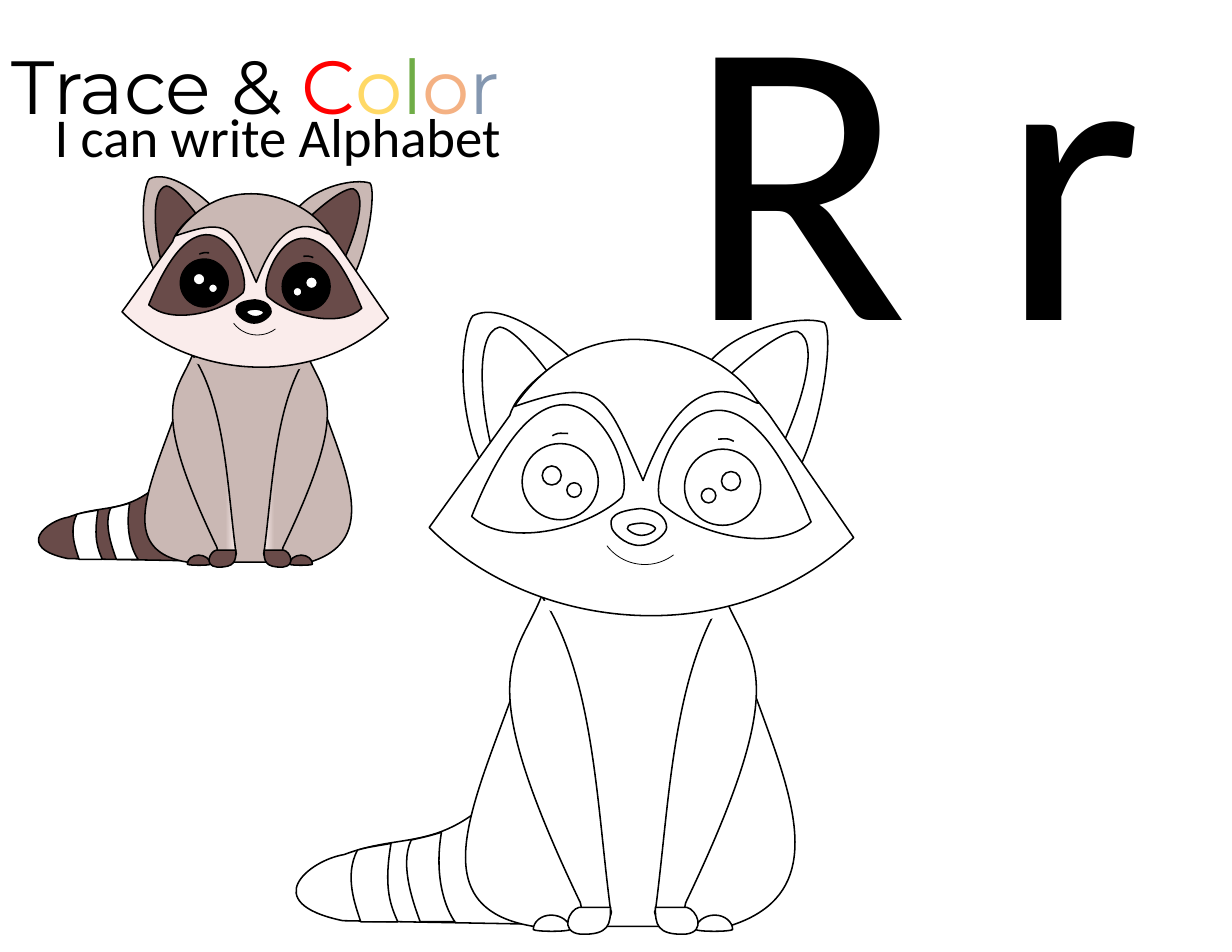
from dataclasses import dataclass
from typing import Any

from lxml import etree
from pptx import Presentation
from pptx.dml import color
from pptx.enum import shapes, text
from pptx.oxml import ns
from pptx.util import Cm, Pt

# Raccoon design in hundredths of an inch: a start point, then lines
# (one point) and curves (three points). The design fills 498 x 562 units.
ORIGIN = (264, 272)
DESIGN_WIDTH = 498
EARS = ["422 282 | 448 268 497 303 520 331 | 430 415 | 405 359 413 292 422 282",
        "736 288 | 716 281 659 291 631 326 | 714 417 | 735 373 744 299 736 288"]
INNER_EARS = ["446 292 | 460 293 488 329 501 350 | 438 396 | 431 369 422 297 446 292",
              "712 296 | 698 294 663 323 646 340 | 697 400 | 710 374 735 306 712 296"]
TAIL = "462 689 | 397 765 365 741 307 763 | 276 768 229 806 306 822 | 473 825 | 462 689"
STRIPES = ["394 743 | 385 746 376 748 367 750 | 356 773 370 809 375 823 | 406 823"
           " | 398 812 387 784 394 743",
           "349 753 | 339 755 329 756 319 759 | 307 782 317 808 322 823 | 355 823"
           " | 349 809 342 794 349 753"]
BODY = "652 457 | 490 451 | 506 609 325 802 476 827 | 650 827 | 805 780 603 570 652 457"
LEG = ("480 527 | 485 528 | 462 590 417 595 518 806 | 527 856 550 813 545 813"
       " | 532 714 530 599 480 527")
TOE = "509 830 | 509 823 501 817 492 817 | 483 817 476 823 476 830 | 479 832 506 832 509 830"
PAW = "545 810 | 517 810 | 508 812 499 832 518 834 | 544 835 545 825 545 810"
FACE = ("687 371 | 585 240 465 333 455 371 | 383 471 | 476 565 654 583 762 480"
        " | 687 371")
FOREHEAD = ("677 360 | 648 308 528 262 459 363 | 538 336 539 350 574 429"
            " | 619 308 671 362 677 360")
NOSE = ("595 471 | 595 466 592 456 572 454 | 539 457 546 468 546 471"
        " | 546 474 557 487 571 487 | 584 487 595 476 595 471")
SPOT = ("585 472 | 585 471 583 468 573 467 | 557 468 561 471 560 472"
        " | 560 473 566 478 573 478 | 579 478 585 474 585 472")
EYE_PATCH = "555 444 | 571 413 499 265 421 461 | 451 489 522 474 555 444"
BROW = "507 387 | 501 387 499 386 495 388 | 494 388 494 389 493 389"
EYE_CIRCLES = [("eye", 466, 396, 68), ("glint", 506, 431, 13), ("glint", 484, 416, 17)]
LEG_AXIS, EYE_AXIS, BROW_AXIS = 1130, 1145, 1148  # sum of left and mirrored x
EYE_DROP = 5

COLOURED = dict(fur="CAB8B4", dark="694B49", cream="FAECEB", eye="000000", glint="FFFFFF")
LINE_ART = dict.fromkeys(COLOURED, "FFFFFF")


def rgb(value):
    return color.RGBColor.from_string(value)


def bezier(start, controls, steps=16):
    """Points along a cubic curve, without its start."""
    corners = [start, *controls]
    for step in range(1, steps + 1):
        t = step / steps
        weights = ((1 - t) ** 3, 3 * t * (1 - t) ** 2, 3 * t * t * (1 - t), t ** 3)
        yield tuple(round(sum(w * c[i] for w, c in zip(weights, corners))) for i in (0, 1))


@dataclass
class Sketch:
    """Draws pieces of the design into a group, scaled to a box."""
    group: Any
    left: float
    top: float
    width: float
    palette: dict

    def length(self, units):
        return Cm(units * self.width / DESIGN_WIDTH)

    def place(self, x, y):
        return (Cm(self.left) + self.length(x - ORIGIN[0]),
                Cm(self.top) + self.length(y - ORIGIN[1]))

    def finish(self, shape, fill, line=1):
        shape.shadow.inherit = False
        if fill:
            shape.fill.solid()
            shape.fill.fore_color.rgb = rgb(self.palette[fill])
        else:
            shape.fill.background()
        if line:
            shape.line.color.rgb = rgb("000000")
            shape.line.width = Pt(line)
        else:
            shape.line.fill.background()
        return shape

    def outline(self, design, fill, line=1, mirror=None, dx=0, dy=0):
        segments = []
        for segment in design.split("|"):
            numbers = [int(number) for number in segment.split()]
            segments.append([self.place((mirror - x if mirror else x) + dx, y + dy)
                             for x, y in zip(numbers[::2], numbers[1::2])])
        start = segments[0][0]
        points = [start]
        for segment in segments[1:]:
            points += bezier(points[-1], segment) if len(segment) == 3 else segment
        builder = self.group.shapes.build_freeform(*start)
        builder.add_line_segments(points[1:], close=fill is not None)
        shape = builder.convert_to_shape()
        self.use_curves(shape, segments, fill is not None)
        return self.finish(shape, fill, line)

    def use_curves(self, shape, segments, closed):
        """Replaces the sampled points by true curves."""
        curve = next(shape._element.iter(ns.qn("a:path")))
        for child in list(curve):
            curve.remove(child)
        for index, segment in enumerate(segments):
            tag = "moveTo" if index == 0 else "cubicBezTo" if len(segment) == 3 else "lnTo"
            command = etree.SubElement(curve, ns.qn("a:" + tag))
            for x, y in segment:
                etree.SubElement(command, ns.qn("a:pt"),
                                 x=str(x - shape.left), y=str(y - shape.top))
        if closed:
            etree.SubElement(curve, ns.qn("a:close"))

    def preset(self, kind, x, y, size, fill, line=1):
        shape = self.group.shapes.add_shape(kind, *self.place(x, y),
                                            self.length(size), self.length(size))
        return self.finish(shape, fill, line)

    def leg(self, mirror, stops):
        shape = self.outline(LEG, "fur", mirror=mirror)
        if self.palette["fur"] != self.palette["cream"]:
            shape.fill.gradient()
            shape.fill.gradient_angle = 0
            for stop, (position, name) in zip(shape.fill.gradient_stops, stops):
                stop.position = position
                stop.color.rgb = rgb(self.palette[name])

    def eye(self, mirror, drop):
        self.outline(EYE_PATCH, "dark", mirror=mirror, dy=drop)
        for fill, x, y, size in EYE_CIRCLES:
            left = mirror - x - size if mirror else x
            self.preset(shapes.MSO_SHAPE.OVAL, left, y + drop, size, fill)
        self.outline(BROW, None, mirror=mirror and BROW_AXIS, dy=drop)


def add_raccoon(page, left, top, width, palette):
    sketch = Sketch(page.shapes.add_group_shape(), left, top, width, palette)
    for ear in EARS:
        sketch.outline(ear, "fur")
    sketch.outline(TAIL, "dark")
    sketch.outline(BODY, "fur")
    sketch.leg(None, [(0.83, "fur"), (1, "cream")])
    sketch.leg(LEG_AXIS, [(0, "cream"), (0.17, "fur")])
    for dx, dy in ((58, 75), (-77, 68)):  # hide the tops of the legs
        sketch.outline(SPOT, "fur", line=None, dx=dx, dy=dy)
    for ear in INNER_EARS:
        sketch.outline(ear, "dark")
    sketch.outline(FACE, "cream")
    sketch.outline(FOREHEAD, "fur")
    sketch.outline(NOSE, "eye")
    sketch.outline(SPOT, "glint")
    smile = sketch.preset(shapes.MSO_SHAPE.ARC, 533, 419, 85, None, line=0.5)
    smile.rotation = 232.8
    smile._element.spPr.find(ns.qn("a:xfrm")).set("flipH", "1")
    sketch.eye(None, 0)
    sketch.eye(EYE_AXIS, EYE_DROP)
    for stripe in STRIPES:
        sketch.outline(stripe, "glint")
    for design in (TOE, PAW):
        for mirror in (None, LEG_AXIS):
            sketch.outline(design, "dark", mirror=mirror)


def write(box, place, spans, font, size):
    """Fills a text box or placeholder with coloured spans on one line."""
    box.left, box.top, box.width, box.height = (Cm(value) for value in place)
    frame = box.text_frame
    frame.word_wrap = True
    frame.auto_size = text.MSO_AUTO_SIZE.NONE
    frame.vertical_anchor = text.MSO_ANCHOR.TOP
    para = frame.paragraphs[0]
    para.alignment = text.PP_ALIGN.LEFT
    para.font.name, para.font.size = font, Pt(size)
    for words, shade in spans:
        span = para.add_run()
        span.text = words
        span.font.color.rgb = rgb(shade)


def add_worksheet(deck):
    page = deck.slides.add_slide(deck.slide_layouts[5])
    write(page.shapes.title, (0, 0.76, 14, 2.34),
          [("Trace & ", "000000"), ("C", "FF0000"), ("o", "FFD966"),
           ("l", "70AD47"), ("o", "F4B183"), ("r", "8497B0")], "Montserrat", 48.4)
    for words, place, size in (("R r", (15.32, -2.13, 16.69, 11.51), 262.9),
                               ("I can write Alphabet", (0.99, 2.21, 11, 1.75), 35.2)):
        box = page.shapes.add_textbox(0, 0, 0, 0)
        write(box, place, [(words, "000000")], "Calibri", size)
    add_raccoon(page, 0.87, 3.9, 7.94, COLOURED)
    add_raccoon(page, 6.71, 6.91, 12.65, LINE_ART)


def main():
    deck = Presentation()
    deck.slide_width, deck.slide_height = Cm(27.94), Cm(21.59)
    add_worksheet(deck)
    deck.save("out.pptx")


if __name__ == "__main__":
    main()
